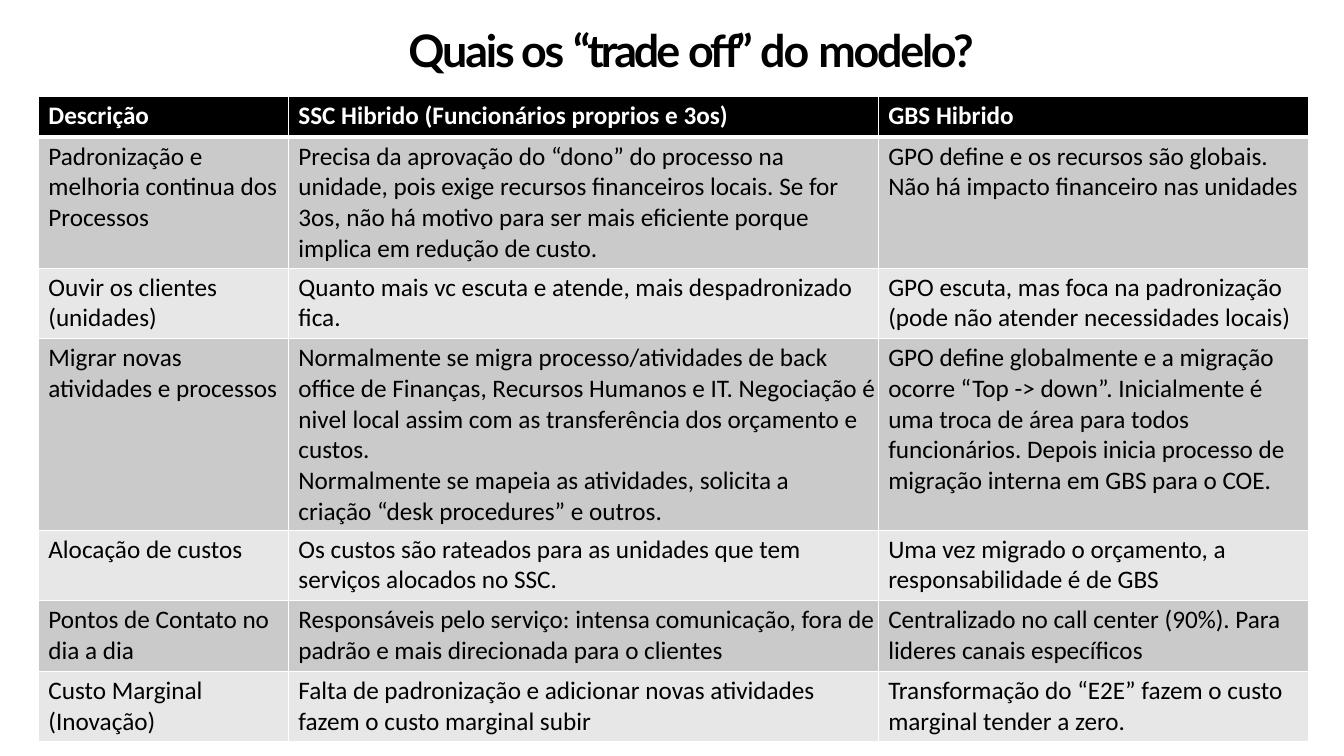
from lxml.etree import SubElement
from pptx import Presentation
from pptx.dml.color import RGBColor
from pptx.enum.text import MSO_ANCHOR, MSO_AUTO_SIZE, PP_ALIGN
from pptx.oxml.ns import qn
from pptx.util import Inches, Pt

TITLE = [("Quais os ", -160), ("“trade ", -220), ("off” ", -240), ("do ", -140), ("modelo?", -160)]

ROWS = [
    ("Descrição", "SSC Hibrido (Funcionários proprios e 3os)", "GBS Hibrido"),
    ("Padronização e melhoria continua dos Processos",
     "Precisa da aprovação do “dono” do processo na unidade, pois exige recursos financeiros locais. "
     "Se for 3os, não há motivo para ser mais eficiente porque implica em redução de custo.",
     "GPO define e os recursos são globais. Não há impacto financeiro nas unidades"),
    ("Ouvir os clientes (unidades)",
     "Quanto mais vc escuta e atende, mais despadronizado fica.",
     "GPO escuta, mas foca na padronização (pode não atender necessidades locais)"),
    ("Migrar novas\natividades e processos",
     "Normalmente se migra processo/atividades de back office de Finanças, Recursos Humanos e IT. "
     "Negociação é nivel local assim com as transferência dos orçamento e custos.\n"
     "Normalmente se mapeia as atividades, solicita a\ncriação “desk procedures” e outros.",
     "GPO define globalmente e a migração ocorre “Top -> down”. Inicialmente é uma troca de área "
     "para todos funcionários. Depois inicia processo de migração interna em GBS para o COE."),
    ("Alocação de custos",
     "Os custos são rateados para as unidades que tem\nserviços alocados no SSC.",
     "Uma vez migrado o orçamento, a\nresponsabilidade é de GBS"),
    ("Pontos de Contato no dia a dia",
     "Responsáveis pelo serviço: intensa comunicação, fora de padrão e mais direcionada para o clientes",
     "Centralizado no call center (90%). Para lideres canais específicos"),
    ("Custo Marginal\n(Inovação)",
     "Falta de padronização e adicionar novas atividades\nfazem o custo marginal subir",
     "Transformação do “E2E” fazem o custo\nmarginal tender a zero."),
]
COLUMN_WIDTHS = [2.48, 5.85, 4.27]
ROW_HEIGHTS = [0.4, 1.3, 0.7, 1.9, 0.7, 0.7, 0.7]
BLACK, WHITE = "000000", "FFFFFF"
BANDS = ["E7E7E7", "CACACA"]


def color(value):
    return RGBColor.from_string(value)


def set_borders(cell, widths):
    properties = cell._tc.get_or_add_tcPr()
    for side, width in zip("LRTB", widths):
        line = SubElement(properties, qn(f"a:ln{side}"), w=str(Pt(width)))
        SubElement(SubElement(line, qn("a:solidFill")), qn("a:srgbClr"), val=WHITE)


def add_title(slide):
    title = slide.shapes.title
    title.left, title.top, title.width, title.height = map(Inches, (0.55, 0.07, 12.24, 0.69))
    frame = title.text_frame
    frame.auto_size = MSO_AUTO_SIZE.NONE
    frame.word_wrap = True
    frame.vertical_anchor = MSO_ANCHOR.TOP
    frame.margin_left, frame.margin_top = Inches(0.37), Inches(0.16)
    frame.margin_right = frame.margin_bottom = 0
    heading = frame.paragraphs[0]
    heading.alignment = PP_ALIGN.CENTER
    heading.space_before = Pt(0)
    heading.font.name, heading.font.size, heading.font.bold = "Lato", Pt(32), True
    heading.font.color.rgb = color(BLACK)
    for words, spacing in TITLE:
        run = heading.add_run()
        run.text = words
        run._r.get_or_add_rPr().set("spc", str(spacing))


def fill_cell(cell, words, row):
    header = row == 0
    cell.text = words
    cell.margin_left, cell.margin_top = Inches(0.1), Inches(0.04)
    cell.margin_right = cell.margin_bottom = 0
    set_borders(cell, (1, 1, 3 if row == 1 else 1, 3 if header else 1))
    cell.fill.solid()
    cell.fill.fore_color.rgb = color(BLACK if header else BANDS[row % 2])
    for paragraph in cell.text_frame.paragraphs:
        paragraph.font.name, paragraph.font.size = "Calibri", Pt(18)
        paragraph.font.bold = header
        paragraph.font.color.rgb = color(WHITE if header else BLACK)


def add_comparison(slide):
    comparison = slide.shapes.add_table(
        len(ROWS), len(COLUMN_WIDTHS), Inches(0.38), Inches(0.96),
        Inches(sum(COLUMN_WIDTHS)), Inches(sum(ROW_HEIGHTS))).table
    for column, width in zip(comparison.columns, COLUMN_WIDTHS):
        column.width = Inches(width)
    for row, (texts, height) in enumerate(zip(ROWS, ROW_HEIGHTS)):
        comparison.rows[row].height = Inches(height)
        for column, words in enumerate(texts):
            fill_cell(comparison.cell(row, column), words, row)


def main():
    deck = Presentation()
    deck.slide_width, deck.slide_height = Inches(13.33), Inches(7.5)
    slide = deck.slides.add_slide(deck.slide_layouts[5])
    add_title(slide)
    add_comparison(slide)
    deck.save("out.pptx")


if __name__ == "__main__":
    main()
